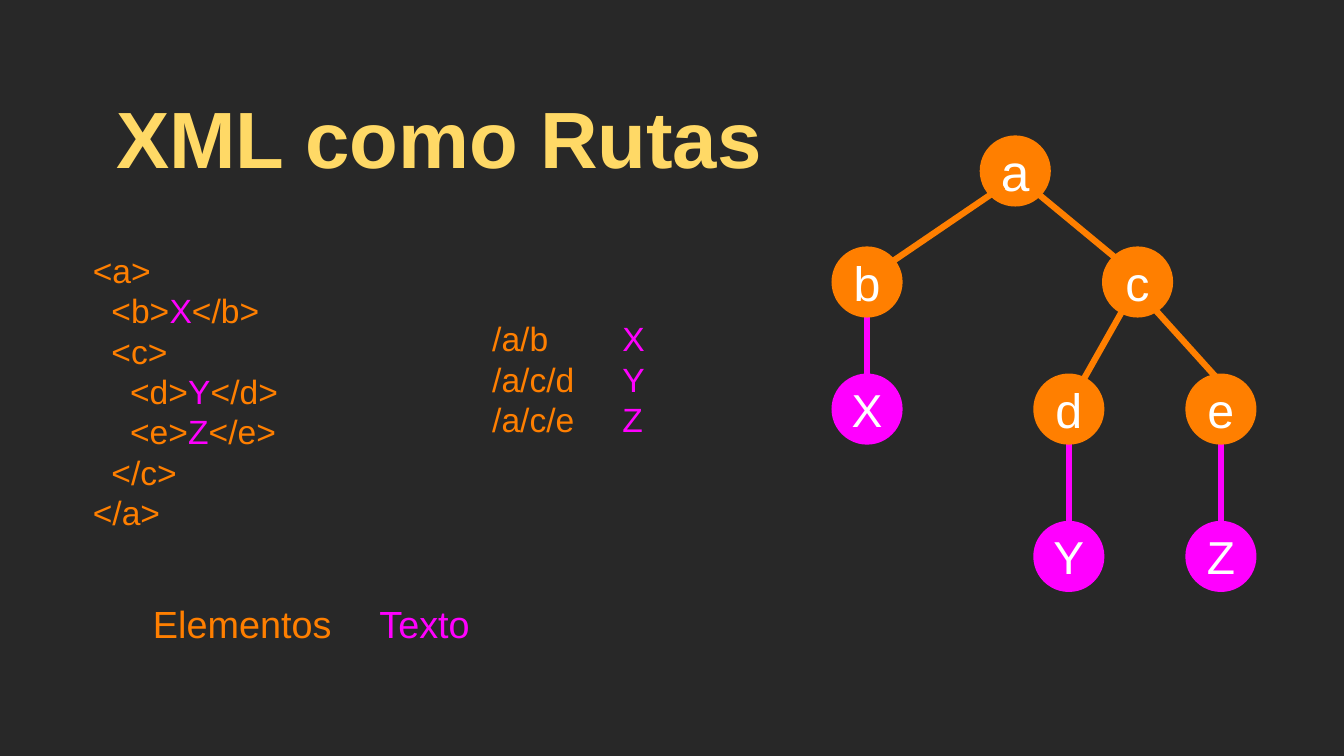
from lxml.etree import SubElement
from pptx import Presentation
from pptx.dml.color import RGBColor
from pptx.enum.shapes import MSO_CONNECTOR, MSO_SHAPE
from pptx.enum.text import MSO_ANCHOR, PP_ALIGN
from pptx.oxml.ns import qn
from pptx.util import Cm, Pt

ORANGE, PINK, GOLD, WHITE, DARK = "FF7F00", "FF00FF", "FFD966", "FFFFFF", "282828"
LEFT, MID = PP_ALIGN.LEFT, PP_ALIGN.CENTER
NODE = 2.39  # circle diameter, cm
LEAD = 38.4  # line pitch of the code and the paths, pt

CODE = [
    [("<a>", ORANGE)],
    [("  <b>", ORANGE), ("X", PINK), ("</b>", ORANGE)],
    [("  <c>", ORANGE)],
    [("    <d>", ORANGE), ("Y", PINK), ("</d>", ORANGE)],
    [("    <e>", ORANGE), ("Z", PINK), ("</e>", ORANGE)],
    [("  </c>", ORANGE)],
    [("</a>", ORANGE)],
]
PATHS = [("/a/b", "X"), ("/a/c/d", "Y"), ("/a/c/e", "Z")]

# Tree parts in cm from the tree's top left corner
NODES = [
    ("a", 4.98, 0, ORANGE, 49),
    ("b", 0, 3.73, ORANGE, 46),
    ("c", 9.09, 3.73, ORANGE, 46),
    ("X", 0, 8, PINK, 44),
    ("d", 6.78, 8, ORANGE, 46),
    ("e", 11.89, 8, ORANGE, 46),
    ("Y", 6.78, 12.95, PINK, 44),
    ("Z", 11.89, 12.95, PINK, 44),
]
DROPS = [(0, 5.69), (6.78, 10.19), (11.89, 10.19)]  # node left, line top
DROP = 2.87
EDGES = [
    (5.77, 1.7, 1.73, 4.45),
    (6.78, 1.83, 9.73, 4.27),
    (9.83, 5.79, 8.31, 8.48),
    (10.77, 5.74, 12.9, 8.1),
]


def color(code):
    return RGBColor.from_string(code)


def write(frame, lines, size, align=LEFT, lead=None, tab=None, pad=0, bold=False):
    """Fill a text frame; each line is a list of (text, colour) runs."""
    frame.word_wrap = True
    frame.vertical_anchor = MSO_ANCHOR.MIDDLE
    frame.margin_left = frame.margin_right = Cm(pad)
    frame.margin_top = frame.margin_bottom = Cm(pad)
    for i, line in enumerate(lines):
        para = frame.add_paragraph() if i else frame.paragraphs[0]
        para.alignment = align
        if lead:
            para.line_spacing = Pt(lead)
        if tab:
            tabs = SubElement(para._p.get_or_add_pPr(), qn("a:tabLst"))
            SubElement(tabs, qn("a:tab"), pos=str(Cm(tab)), algn="l")
        for text, hue in line:
            run = para.add_run()
            run.text = text
            run.font.name = "Arial"
            run.font.size = Pt(size)
            run.font.bold = bold
            run.font.color.rgb = color(hue)


def add_text(slide, box, lines, size, **style):
    label = slide.shapes.add_textbox(*map(Cm, box))
    write(label.text_frame, lines, size, **style)


def add_line(group, x1, y1, x2, y2, hue):
    line = group.shapes.add_connector(
        MSO_CONNECTOR.STRAIGHT, Cm(x1), Cm(y1), Cm(x2), Cm(y2))
    line.line.color.rgb = color(hue)
    line.line.width = Pt(6)
    SubElement(line._element.spPr, qn("a:effectLst"))


def add_title(slide, box):
    title = slide.shapes.title
    title.left, title.top, title.width, title.height = map(Cm, box)
    write(title.text_frame, [[("XML como Rutas", GOLD)]], 76,
          align=MID, pad=0.1, bold=True)


def add_paths(slide, box):
    lines = [[(route + "\t", ORANGE), (value, PINK)] for route, value in PATHS]
    add_text(slide, box, lines, 32, lead=LEAD, tab=4.37)


def add_key(slide, box):
    x, y, w, h = box
    for text, hue, dx, width in [("Elementos", ORANGE, 0, 6.32),
                                 ("Texto", PINK, w - 3.23, 3.23)]:
        add_text(slide, (x + dx, y, width, h), [[(text, hue)]], 36, align=MID)


def add_tree(slide, x, y):
    group = slide.shapes.add_group_shape()
    # Text links lie behind the circles
    for left, top in DROPS:
        mid = x + left + NODE / 2
        add_line(group, mid, y + top, mid, y + top + DROP, PINK)
    # Circles
    for name, left, top, hue, size in NODES:
        node = group.shapes.add_shape(
            MSO_SHAPE.OVAL, Cm(x + left), Cm(y + top), Cm(NODE), Cm(NODE))
        node.shadow.inherit = False
        node.fill.solid()
        node.fill.fore_color.rgb = color(hue)
        node.line.fill.background()
        write(node.text_frame, [[(name, WHITE)]], size, align=MID)
    # Element links lie in front
    for x1, y1, x2, y2 in EDGES:
        add_line(group, x + x1, y + y1, x + x2, y + y2, ORANGE)


def main():
    deck = Presentation()
    deck.slide_width, deck.slide_height = Cm(45.16), Cm(25.4)
    slide = deck.slides.add_slide(deck.slide_layouts[5])
    slide.background.fill.solid()
    slide.background.fill.fore_color.rgb = color(DARK)

    add_title(slide, (3.2, 2.11, 23.11, 4.93))
    add_text(slide, (3.12, 7.75, 6.86, 10.77), CODE, 32, lead=LEAD)
    add_tree(slide, 27.94, 4.55)
    add_paths(slide, (16.54, 10.39, 7.49, 4.67))
    add_key(slide, (4.98, 20.07, 10.9, 1.73))
    deck.save("out.pptx")


if __name__ == "__main__":
    main()
